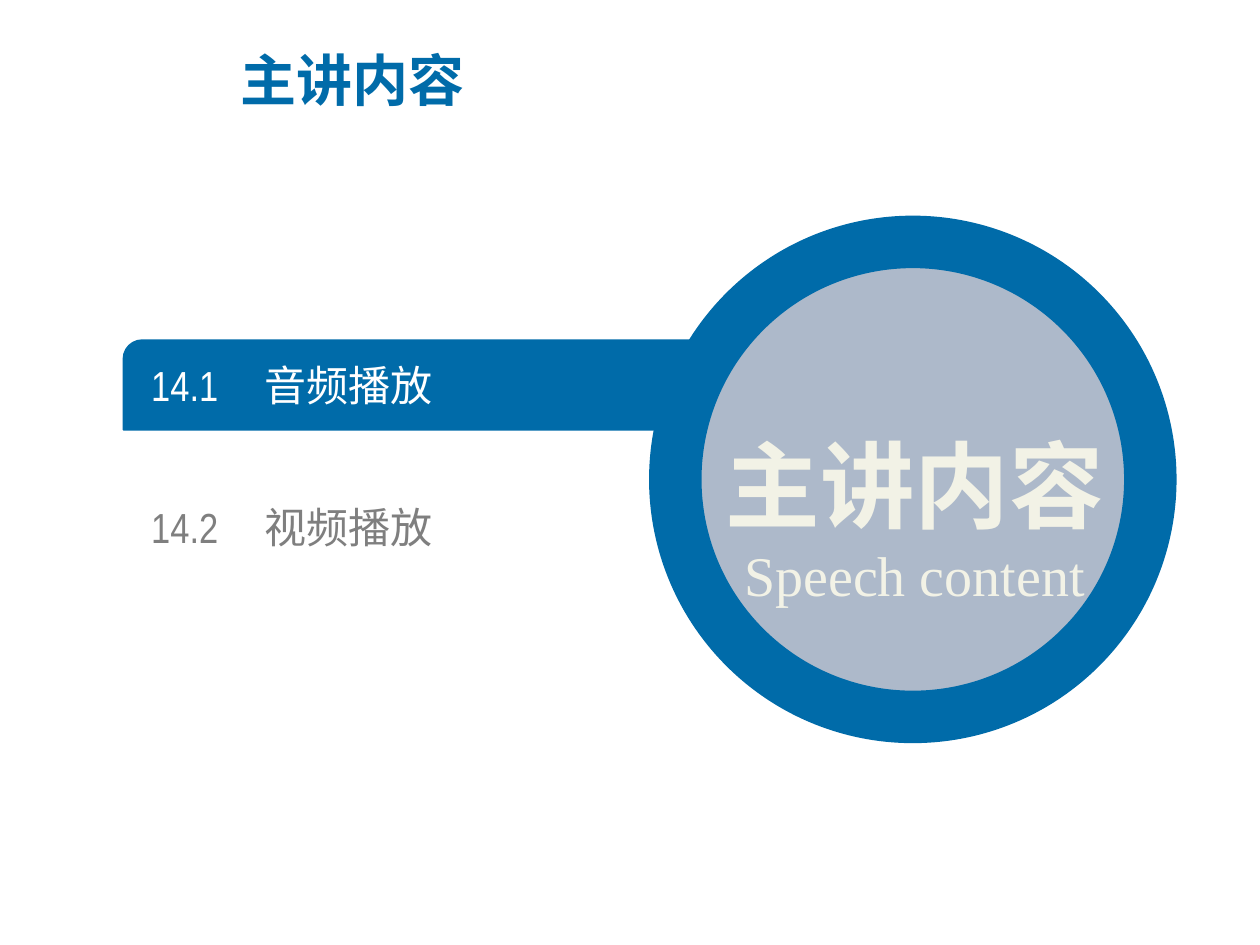
from lxml import etree
from pptx import Presentation
from pptx import util as u
from pptx.dml.color import RGBColor
from pptx.enum import shapes, text
from pptx.oxml.ns import qn

BLUE, GREY_BLUE, CREAM, WHITE, GREY = "006BA9", "ADB9CA", "F2F2E6", "FFFFFF", "7F7F7F"
CJK = "Noto Sans CJK SC"

# Content
TITLE = "主讲内容"
SUBTITLE = "Speech content"
TOPICS = [("14.1", "音频播放", WHITE), ("14.2", "视频播放", GREY)]

# Text formats
HEADING = dict(size=u.Pt(32), name=CJK, bold=True)
CIRCLE_TITLE = dict(size=u.Pt(54), name=CJK, bold=True)
CIRCLE_SUBTITLE = dict(size=u.Pt(32), name="Times New Roman", bold=False)
TOPIC = dict(size=u.Pt(24), name="Arial Narrow")

# Layout in inches
TOPIC_LEFT, TOPIC_TOP, TOPIC_PITCH = 1.2, 2.85, 1.13
TOPIC_WIDTH, TOPIC_HEIGHT, NAME_TAB = 4.19, 0.4, 0.9


def rgb(value):
    return RGBColor.from_string(value)


def add_shape(slide, kind, box, fill, line, width):
    shape = slide.shapes.add_shape(kind, *map(u.Inches, box))
    shape.shadow.inherit = False
    shape.fill.solid()
    shape.fill.fore_color.rgb = rgb(fill)
    shape.line.color.rgb = rgb(line)
    shape.line.width = u.Pt(width)
    return shape


def add_text(slide, box, lines, grow=True, **frame_format):
    """Each line holds its wording, colour, font format and paragraph format."""
    frame = slide.shapes.add_textbox(*map(u.Inches, box)).text_frame
    frame.word_wrap = True
    frame.vertical_anchor = text.MSO_ANCHOR.MIDDLE
    frame.auto_size = (text.MSO_AUTO_SIZE.SHAPE_TO_FIT_TEXT if grow
                       else text.MSO_AUTO_SIZE.NONE)
    for key, value in frame_format.items():
        setattr(frame, key, value)
    for number, (words, colour, font_format, paragraph_format) in enumerate(lines):
        paragraph = frame.add_paragraph() if number else frame.paragraphs[0]
        for key, value in paragraph_format.items():
            setattr(paragraph, key, value)
        run = paragraph.add_run()
        run.text = words
        for key, value in font_format.items():
            setattr(run.font, key, value)
        run.font.color.rgb = rgb(colour)
        etree.SubElement(run.font._element, qn("a:ea"), typeface=CJK)
    return frame


def add_tab_stop(paragraph, position):
    tabs = etree.SubElement(paragraph._p.get_or_add_pPr(), qn("a:tabLst"))
    etree.SubElement(tabs, qn("a:tab"), pos=str(u.Inches(position)), algn="l")


def main():
    presentation = Presentation()
    presentation.slide_width, presentation.slide_height = u.Inches(10), u.Inches(7.5)
    slide = presentation.slides.add_slide(presentation.slide_layouts[6])

    # Bar behind the current topic
    bar = add_shape(slide, shapes.MSO_SHAPE.ROUND_2_DIAG_RECTANGLE,
                    (0.98, 2.7, 5.35, 0.71), BLUE, BLUE, 1)
    bar.adjustments[0], bar.adjustments[1] = 0.209, 0

    # Topic list
    no_margins = dict.fromkeys(
        ("margin_left", "margin_top", "margin_right", "margin_bottom"), 0)
    for row, (number, name, colour) in enumerate(TOPICS):
        box = (TOPIC_LEFT, TOPIC_TOP + row * TOPIC_PITCH, TOPIC_WIDTH, TOPIC_HEIGHT)
        frame = add_text(slide, box, [(f"{number}\t{name}", colour, TOPIC, {})],
                         **no_margins)
        add_tab_stop(frame.paragraphs[0], NAME_TAB)

    # Circle with its caption
    add_shape(slide, shapes.MSO_SHAPE.OVAL, (5.36, 1.92, 3.77, 3.77),
              GREY_BLUE, BLUE, 30)
    centred = dict(alignment=text.PP_ALIGN.CENTER)
    add_text(slide, (5.31, 2.88, 3.9, 2), [
        (TITLE, CREAM, CIRCLE_TITLE, dict(centred, line_spacing=1.5)),
        (SUBTITLE, CREAM, CIRCLE_SUBTITLE, centred),
    ])

    # Slide title
    add_text(slide, (1.81, 0.21, 5.63, 0.84), [(TITLE, BLUE, HEADING, {})], grow=False)

    presentation.save("out.pptx")


if __name__ == "__main__":
    main()
